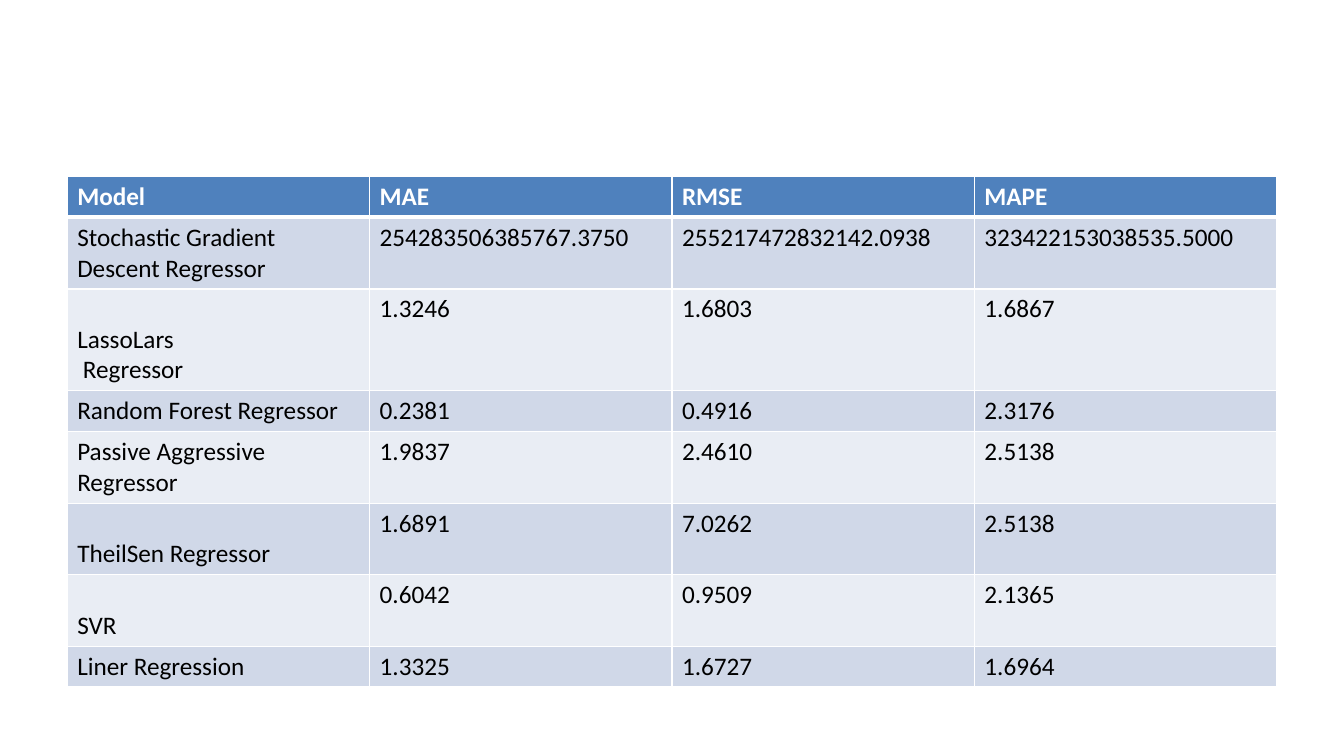
from lxml import etree
from pptx import Presentation
from pptx import util as u
from pptx.dml.color import RGBColor
from pptx.enum import text
from pptx.oxml import ns

PX = 9525
COLORS = {
    "white": "FFFFFF",
    "black": "000000",
    "header": "4F81BD",
    "odd": "D0D8E8",
    "even": "E9EDF4",
}
HEADINGS = ["Model", "MAE", "RMSE", "MAPE"]
SCORES = [
    (2, ["Stochastic Gradient Descent Regressor", "254283506385767.3750",
         "255217472832142.0938", "323422153038535.5000"]),
    (3, ["LassoLars\n Regressor", "1.3246", "1.6803", "1.6867"]),
    (1, ["Random Forest Regressor", "0.2381", "0.4916", "2.3176"]),
    (2, ["Passive Aggressive Regressor", "1.9837", "2.4610", "2.5138"]),
    (2, ["TheilSen Regressor", "1.6891", "7.0262", "2.5138"]),
    (2, ["SVR", "0.6042", "0.9509", "2.1365"]),
    (1, ["Liner Regression", "1.3325", "1.6727", "1.6964"]),
]


class SlideBuilder:
    font = "Calibri"
    size = 18
    padding = 10
    line_height = 29

    def __init__(self, slide):
        self.slide = slide

    def color(self, name):
        return RGBColor.from_string(COLORS[name])

    def border(self, cell, side, points):
        properties = cell._tc.get_or_add_tcPr()
        line = etree.SubElement(properties, ns.qn(f"a:ln{side}"), w=str(u.Pt(points)))
        fill = etree.SubElement(line, ns.qn("a:solidFill"))
        etree.SubElement(fill, ns.qn("a:srgbClr"), val=COLORS["white"])

    def cell(self, cell, content, fill, ink, bold, top, bottom):
        for side, points in (("L", 1), ("R", 1), ("T", top), ("B", bottom)):
            self.border(cell, side, points)
        cell.fill.solid()
        cell.fill.fore_color.rgb = self.color(fill)
        frame = cell.text_frame
        for index, line in enumerate(content.split("\n")):
            para = frame.add_paragraph() if index else frame.paragraphs[0]
            span = para.add_run()
            span.text = line
            span.font.name = self.font
            span.font.size = u.Pt(self.size)
            span.font.bold = bold
            span.font.color.rgb = self.color(ink)

    def table(self, left, top, width, headings, body):
        rows = [(1, headings)] + body
        heights = [self.padding + self.line_height * lines for lines, _ in rows]
        frame = self.slide.shapes.add_table(
            len(rows), len(headings), left * PX, top * PX, width * PX, sum(heights) * PX)
        table = frame.table
        for column in table.columns:
            column.width = width * PX // len(headings)
        for number, (_, values) in enumerate(rows):
            table.rows[number].height = heights[number] * PX
            is_header = number == 0
            fill = "header" if is_header else ("even", "odd")[number % 2]
            for column, content in enumerate(values):
                cell = table.cell(number, column)
                self.cell(cell, content, fill, "white" if is_header else "black",
                          is_header, 3 if number == 1 else 1, 3 if is_header else 1)
                if column == 0:
                    cell.vertical_anchor = text.MSO_ANCHOR.BOTTOM


def main():
    deck = Presentation()
    deck.slide_width = 1280 * PX
    deck.slide_height = 720 * PX
    page = SlideBuilder(deck.slides.add_slide(deck.slide_layouts[6]))
    page.table(64, 168, 1152, HEADINGS, SCORES)
    deck.save("out.pptx")


if __name__ == "__main__":
    main()
